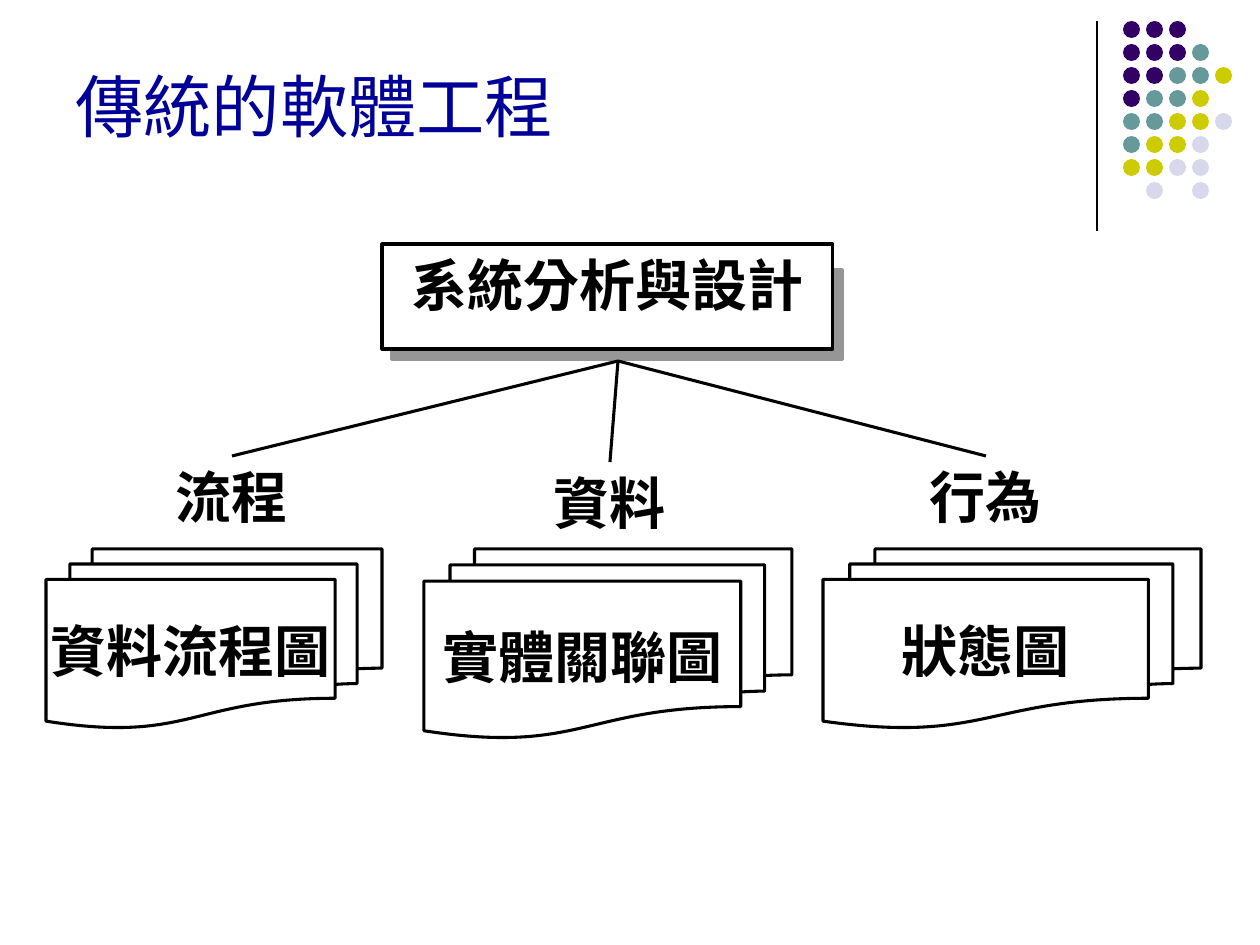
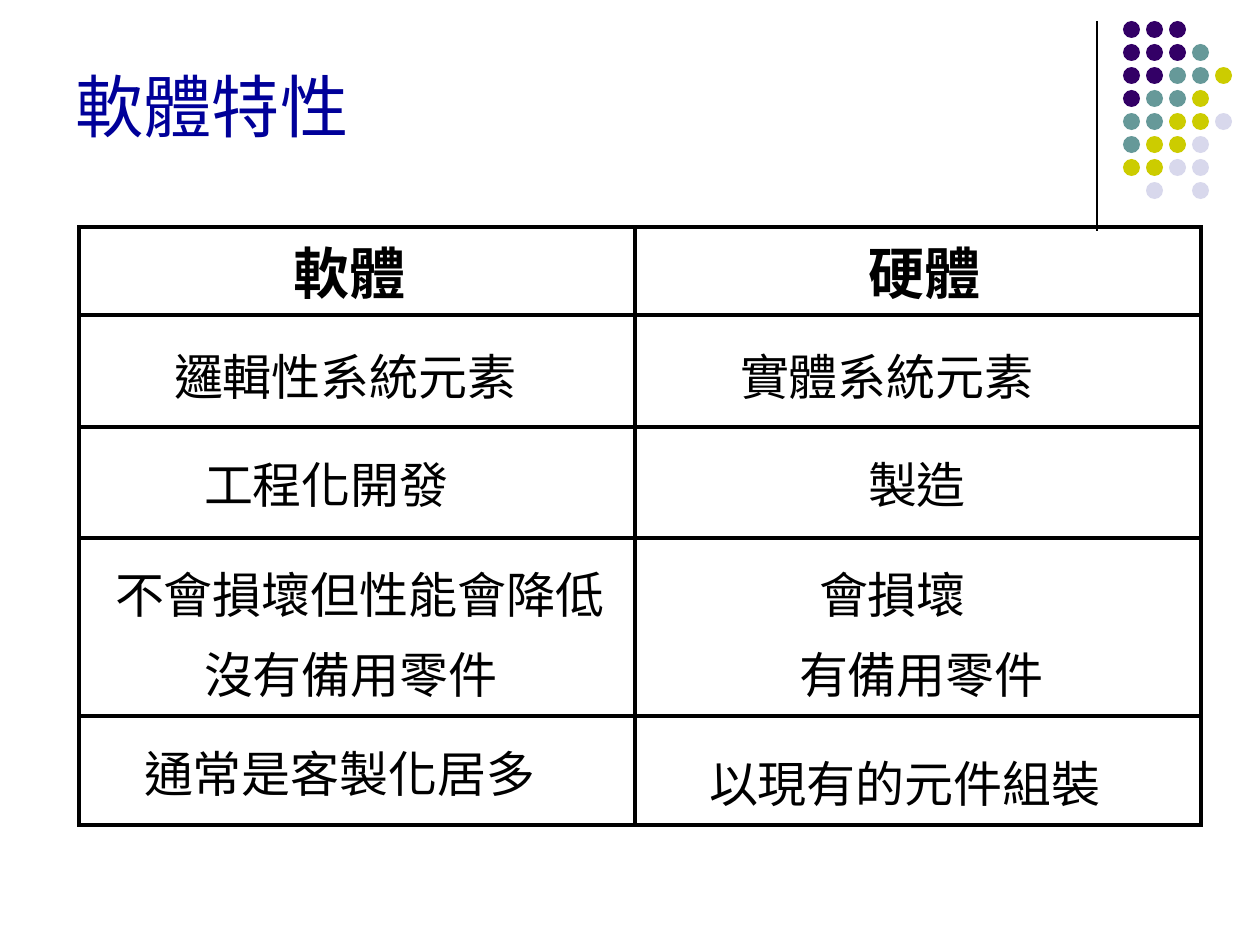
from dataclasses import dataclass

from lxml.etree import SubElement
from pptx import Presentation
from pptx.dml.color import RGBColor as RGB
from pptx.enum.shapes import MSO_CONNECTOR as CONN, MSO_SHAPE as SHAPE
from pptx.enum.text import MSO_ANCHOR as ANCHOR, PP_ALIGN as ALIGN
from pptx.oxml.ns import qn
from pptx.util import Emu, Pt


@dataclass(frozen=True)
class Theme:
    black: str = "000000"
    white: str = "FFFFFF"
    title: str = "000099"
    shade: str = "969696"
    purple: str = "330066"
    teal: str = "669999"
    olive: str = "CCCC00"
    lilac: str = "D8D8EC"
    title_pt: int = 39
    label_pt: int = 32
    cell_pt: int = 28
    rule_pt: float = 0.75
    line_pt: float = 1.75
    border_pt: float = 2.25
    paragraph_gap: int = 5
    sans: str = "Arial"
    serif: str = "Times New Roman"
    cjk: str = "Noto Sans CJK SC"


T = Theme()
DOTS = ("ppp", "pppt", "ppttg", "pttg", "ttggl", "tggl", "ggll", " l l")
DOT_COLORS = {"p": T.purple, "t": T.teal, "g": T.olive, "l": T.lilac}
DOT_PITCH, DOT_SIZE = 23, 17


def px(n):
    return Emu(round(n * 914400 / 126))


def box(x, y, w, h):
    return px(x), px(y), px(w), px(h)


def add_run(p, text, size, font, color=T.black, bold=False):
    r = p.add_run()
    r.text = text
    r.font.size, r.font.name, r.font.bold = Pt(size), font, bold
    r.font.color.rgb = RGB.from_string(color)
    r_pr = r.font._element
    r_pr.set("lang", "zh-TW")
    SubElement(r_pr, qn("a:ea")).set("typeface", T.cjk)


def add_shape(s, kind, area, fill=None, line=None):
    sp = s.shapes.add_shape(kind, *box(*area))
    sp.shadow.inherit = False
    if fill:
        sp.fill.solid()
        sp.fill.fore_color.rgb = RGB.from_string(fill)
    else:
        sp.fill.background()
    if line:
        sp.line.color.rgb = RGB.from_string(line)
        sp.line.width = Pt(T.line_pt)
    else:
        sp.line.fill.background()
    return sp


def add_line(s, start, end, width):
    cx = s.shapes.add_connector(CONN.STRAIGHT, *map(px, (*start, *end)))
    cx.line.color.rgb = RGB.from_string(T.black)
    cx.line.width = Pt(width)
    SubElement(cx._element.spPr, qn("a:effectLst"))


def set_label(sp, text, anchor=ANCHOR.TOP):
    tf = sp.text_frame
    tf.word_wrap = False
    tf.vertical_anchor = anchor
    p = tf.paragraphs[0]
    p.alignment = ALIGN.CENTER
    add_run(p, text, T.label_pt, T.serif, bold=True)


def add_dots(s):
    for row, keys in enumerate(DOTS):
        for col, key in enumerate(keys):
            if key in DOT_COLORS:
                area = (1123 + col * DOT_PITCH, 21 + row * DOT_PITCH, DOT_SIZE, DOT_SIZE)
                add_shape(s, SHAPE.OVAL, area, DOT_COLORS[key])


def add_slide(prs, title, font):
    s = prs.slides.add_slide(prs.slide_layouts[6])
    add_line(s, (1097, 21), (1097, 231), T.rule_pt)
    add_dots(s)
    tf = s.shapes.add_textbox(*box(63, 16, 1023, 178)).text_frame
    tf.word_wrap = True
    tf.vertical_anchor = ANCHOR.MIDDLE
    add_run(tf.paragraphs[0], title, T.title_pt, font, T.title)
    return s


def add_branch(s, root, tip, label, diagram, area):
    x, y = tip
    add_line(s, root, tip, T.line_pt)
    set_label(s.shapes.add_textbox(*box(x - 69, y, 138, 81)), label)
    sp = add_shape(s, SHAPE.FLOWCHART_MULTIDOCUMENT, area, line=T.black)
    set_label(sp, diagram, ANCHOR.MIDDLE)


def set_borders(cell):
    tc_pr = cell._tc.get_or_add_tcPr()
    for side in "LRTB":
        ln = SubElement(tc_pr, qn(f"a:ln{side}"), w=str(Pt(T.border_pt)))
        fill = SubElement(ln, qn("a:solidFill"))
        SubElement(fill, qn("a:srgbClr"), val=T.black)


def fill_cell(cell, top, lines, size, bold):
    cell.margin_left = cell.margin_right = cell.margin_bottom = 0
    cell.margin_top = px(top)
    set_borders(cell)
    cell.fill.background()
    tf = cell.text_frame
    for i, (text, indent, font) in enumerate(lines):
        p = tf.add_paragraph() if i else tf.paragraphs[0]
        if i:
            p.space_before = Pt(T.paragraph_gap)
        p._p.get_or_add_pPr().set("marL", str(px(indent)))
        add_run(p, text, size, font, bold=bold)


def add_comparison(s, x, y, widths, rows):
    height = sum(h for h, _ in rows)
    frame = s.shapes.add_table(len(rows), len(widths), *box(x, y, sum(widths), height))
    table = frame.table
    table.first_row = table.horz_banding = False
    for col, w in enumerate(widths):
        table.columns[col].width = px(w)
    for row, (h, cells) in enumerate(rows):
        table.rows[row].height = px(h)
        size = T.cell_pt if row else T.label_pt
        for col, (top, lines) in enumerate(cells):
            fill_cell(table.cell(row, col), top, lines, size, row == 0)


def build_engineering(prs):
    s = add_slide(prs, "傳統的軟體工程", T.cjk)
    add_shape(s, SHAPE.RECTANGLE, (392, 270, 451, 90), T.shade, T.shade)
    set_label(add_shape(s, SHAPE.RECTANGLE, (382, 244, 451, 105), T.white, T.black), "系統分析與設計")
    branches = (
        ((610, 462), "資料", "實體關聯圖", (424, 549, 368, 189)),
        ((232, 456), "流程", "資料流程圖", (46, 549, 336, 179)),
        ((986, 456), "行為", "狀態圖", (823, 549, 378, 179)),
    )
    for branch in branches:
        add_branch(s, (618, 361), *branch)


def build_traits(prs):
    s = add_slide(prs, "軟體特性", T.sans)
    rows = (
        (88, ((2, [("軟體", 214, T.sans)]), (2, [("硬體", 233, T.sans)]))),
        (112, ((24, [("邏輯性系統元素", 95, T.serif)]), (24, [("實體系統元素", 105, T.serif)]))),
        (111, ((20, [("工程化開發", 125, T.cjk)]), (20, [("製造", 233, T.cjk)]))),
        (178, (
            (19, [("不會損壞但性能會降低", 36, T.serif), ("沒有備用零件", 125, T.sans)]),
            (19, [("會損壞", 184, T.sans), ("有備用零件", 164, T.serif)]),
        )),
        (109, ((20, [("通常是客製化居多", 65, T.serif)]), (30, [("以現有的元件組裝", 74, T.serif)]))),
    )
    add_comparison(s, 79, 227, (556, 566), rows)


def main():
    prs = Presentation()
    prs.slide_width, prs.slide_height = px(1260), px(945)
    build_engineering(prs)
    build_traits(prs)
    prs.save("out.pptx")


if __name__ == "__main__":
    main()
